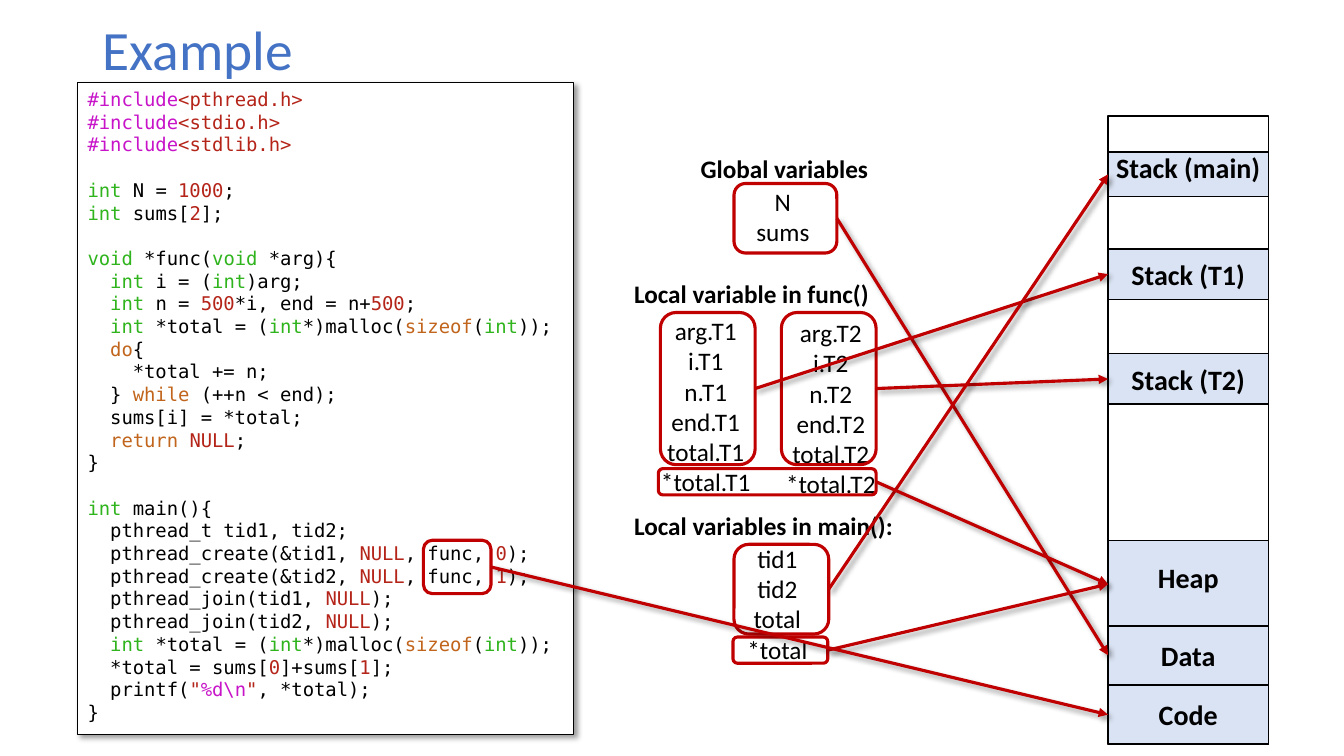
from typing import NamedTuple

from lxml import etree
from pptx import Presentation
from pptx import util as u
from pptx.dml.color import RGBColor
from pptx.enum import shapes, text
from pptx.oxml.ns import qn

CELL = u.Inches(0.1)
RIGHT_SIDE, LEFT_SIDE = 3, 1


class Theme:
    title, ink, ring, segment, paper = "4472C4", "000000", "C00000", "DAE3F3", "FFFFFF"
    syntax = {"p": "C814C9", "r": "B42419", "g": "2FB41D", "o": "C1651C"}
    body_font, code_font = "Calibri", "DejaVu Sans Mono"
    title_size, segment_size, body_size, code_size, code_pitch = 39.6, 20, 18, 13.5, 16.2
    thin, medium, thick = 0.75, 1, 2.25


class Box(NamedTuple):
    x: float
    y: float
    w: float
    h: float

    def within(self, dx, dy, w, h):
        return Box(self.x + dx, self.y + dy, w, h)

    def emu(self):
        return [round(cells * CELL) for cells in self]


CODE = """\
`p#include``r<pthread.h>`
`p#include``r<stdio.h>`
`p#include``r<stdlib.h>`

`gint` N = `r1000`;
`gint` sums[`r2`];

`gvoid` *func(`gvoid` *arg){
  `gint` i = (`gint`)arg;
  `gint` n = `r500`*i, end = n+`r500`;
  `gint` *total = (`gint`*)malloc(`osizeof`(`gint`));
  `odo`{
    *total += n;
  } `owhile` (++n < end);
  sums[i] = *total;
  `oreturn` `rNULL`;
}

`gint` main(){
  pthread_t tid1, tid2;
  pthread_create(&tid1, `rNULL`, func, `r0`);
  pthread_create(&tid2, `rNULL`, func, `r1`);
  pthread_join(tid1, `rNULL`);
  pthread_join(tid2, `rNULL`);
  `gint` *total = (`gint`*)malloc(`osizeof`(`gint`));
  *total = sums[`r0`]+sums[`r1`];
  printf(`r"``p%d\\n``r"`, *total);
}"""

SEGMENTS = {
    "Stack (main)": (3.6, 4.4, 1.4),
    "Stack (T1)": (13.2, 5, 0),
    "Stack (T2)": (23.6, 5, 0),
    "Heap": (42.1, 8.7, 1.3),
    "Data": (50.6, 5.8, 0),
    "Code": (56.5, 5.8, 0),
}

HEADINGS = [
    ("Global variables", 6.6, 0, 18.8),
    ("Local variable in func()", 0, 12.4, 25.5),
    ("Local variables in main():", 0, 35.4, 27.9),
]

THREAD_LOCALS = ["arg", "i", "n", "end", "total", "*total"]

VARIABLES = [
    (["N", "sums"], (12.1, 3.3, 7.3, 7.1)),
    ([f"{name}.T1" for name in THREAD_LOCALS], (2.6, 16.1, 11, 19.2)),
    ([f"{name}.T2" for name in THREAD_LOCALS], (15, 16.3, 11, 19.2)),
    (["tid1", "tid2", "total", "*total"], (11.2, 38.7, 8, 13.1)),
]

RINGS = {
    "globals": (10.9, 3.5, 10.2, 6.9),
    "T1 locals": (3.6, 16.3, 9.4, 15.1),
    "T2 locals": (15.6, 16.3, 9.4, 15.1),
    "main locals": (10.9, 39.3, 9.4, 8.9),
    "thread totals": (3.4, 31.8, 21.6, 2.6),
    "main total": (10.8, 48.5, 9.4, 2.6),
}

ARROWS = [
    ("globals", "Data"),
    ("T1 locals", "Stack (T1)"),
    ("T2 locals", "Stack (T2)"),
    ("main locals", "Stack (main)"),
    ("thread totals", "Heap"),
    ("main total", "Heap"),
    ("func", "Code"),
]


def color(code):
    return RGBColor.from_string(code)


def style_font(font, size, ink, bold=False, name=Theme.body_font):
    font.size, font.name, font.bold = u.Pt(size), name, bold
    font.color.rgb = color(ink)


def add_soft_shadow(shape):
    properties = shape._element.spPr
    effects = properties.find(qn("a:effectLst"))
    if effects is None:
        effects = etree.SubElement(properties, qn("a:effectLst"))
    shadow = etree.SubElement(effects, qn("a:outerShdw"), blurRad=str(u.Pt(4)),
                              dist=str(u.Pt(3)), dir=str(45 * 60000), algn="tl", rotWithShape="0")
    tint = etree.SubElement(shadow, qn("a:srgbClr"), val=Theme.ink)
    etree.SubElement(tint, qn("a:alpha"), val="40000")


def add_panel(slide, box, line, width, fill=None, kind=shapes.MSO_SHAPE.RECTANGLE):
    panel = slide.shapes.add_shape(kind, *box.emu())
    panel.shadow.inherit = False
    panel.line.color.rgb = color(line)
    panel.line.width = u.Pt(width)
    if fill:
        panel.fill.solid()
        panel.fill.fore_color.rgb = color(fill)
    else:
        panel.fill.background()
    return panel


def add_ring(slide, box):
    return add_panel(slide, box, Theme.ring, Theme.thick, kind=shapes.MSO_SHAPE.ROUNDED_RECTANGLE)


def add_label(slide, box, lines, size, ink=Theme.ink, bold=False, align=text.PP_ALIGN.LEFT):
    frame = slide.shapes.add_textbox(*box.emu()).text_frame
    frame.word_wrap = False
    frame.text = "\n".join(lines)
    for paragraph in frame.paragraphs:
        paragraph.alignment = align
        style_font(paragraph.font, size, ink, bold)
    return frame


def draw_title(slide, box):
    frame = add_label(slide, box, ["Example"], Theme.title_size, Theme.title)
    frame.word_wrap = True
    frame.vertical_anchor = text.MSO_ANCHOR.MIDDLE
    frame.paragraphs[0].line_spacing = 0.9


def draw_code(slide, box):
    listing = add_panel(slide, box, Theme.ink, Theme.thin, Theme.paper)
    add_soft_shadow(listing)
    frame = listing.text_frame
    frame.word_wrap = True
    frame.vertical_anchor = text.MSO_ANCHOR.TOP
    for block_number, block in enumerate(CODE.split("\n\n")):
        for line_number, line in enumerate(block.split("\n")):
            first = block_number == line_number == 0
            paragraph = frame.paragraphs[0] if first else frame.add_paragraph()
            paragraph.alignment = text.PP_ALIGN.LEFT
            paragraph.line_spacing = u.Pt(Theme.code_pitch)
            if block_number and not line_number:
                paragraph.space_before = u.Pt(Theme.code_pitch)
            style_font(paragraph.font, Theme.code_size, Theme.ink, name=Theme.code_font)
            for position, piece in enumerate(line.split("`")):
                if not piece:
                    continue
                run = paragraph.add_run()
                colored = position % 2
                run.text = piece[1:] if colored else piece
                run.font.color.rgb = color(Theme.syntax[piece[0]] if colored else Theme.ink)
    return {"func": add_ring(slide, box.within(34.3, 45.4, 6.7, 5.3))}


def draw_memory(slide, box):
    add_panel(slide, box, Theme.ink, Theme.medium)
    segments = {}
    for name, (top, height, lift) in SEGMENTS.items():
        segment = add_panel(slide, box.within(0, top, box.w, height),
                            Theme.ink, Theme.medium, Theme.segment)
        frame = segment.text_frame
        frame.margin_left = frame.margin_right = frame.margin_top = 0
        frame.margin_bottom = round(lift * CELL)
        frame.word_wrap = False
        frame.vertical_anchor = text.MSO_ANCHOR.MIDDLE
        frame.text = name
        paragraph = frame.paragraphs[0]
        paragraph.alignment = text.PP_ALIGN.CENTER
        style_font(paragraph.font, Theme.segment_size, Theme.ink, bold=True)
        segments[name] = segment
    return segments


def draw_variables(slide, box):
    for heading, left, top, width in HEADINGS:
        add_label(slide, box.within(left, top, width, 4), [heading], Theme.body_size, bold=True)
    for names, place in VARIABLES:
        add_label(slide, box.within(*place), names, Theme.body_size, align=text.PP_ALIGN.CENTER)
    return {name: add_ring(slide, box.within(*place)) for name, place in RINGS.items()}


def draw_arrow(slide, ring, segment):
    arrow = slide.shapes.add_connector(shapes.MSO_CONNECTOR.STRAIGHT, 0, 0, 0, 0)
    arrow.begin_connect(ring, RIGHT_SIDE)
    arrow.end_connect(segment, LEFT_SIDE)
    arrow.line.color.rgb = color(Theme.ring)
    arrow.line.width = u.Pt(Theme.thick)
    etree.SubElement(arrow.line._get_or_add_ln(), qn("a:tailEnd"), type="triangle")
    add_soft_shadow(arrow)


def main():
    deck = Presentation()
    deck.slide_width, deck.slide_height = u.Inches(13.33), u.Inches(7.5)
    slide = deck.slides.add_slide(deck.slide_layouts[6])
    draw_title(slide, Box(9.2, 1.5, 115, 7.5))
    rings = draw_code(slide, Box(7.7, 8.2, 49.2, 64.7))
    segments = draw_memory(slide, Box(109.9, 11.5, 15.9, 62.3))
    rings.update(draw_variables(slide, Box(61.9, 14.7, 27.9, 51.2)))
    for ring, segment in ARROWS:
        draw_arrow(slide, rings[ring], segments[segment])
    deck.save("out.pptx")


if __name__ == "__main__":
    main()
